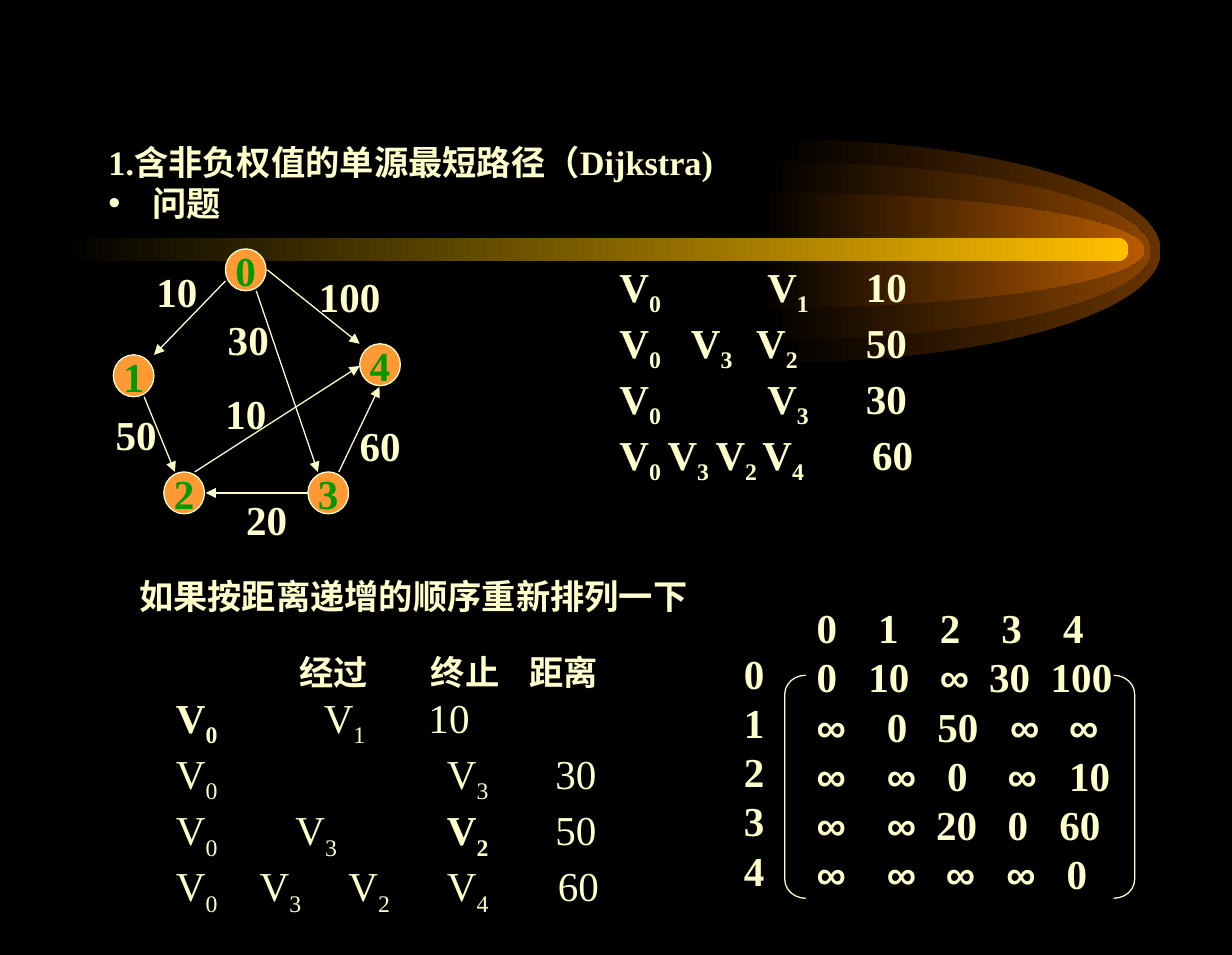
from itertools import groupby

from pptx import Presentation
from pptx import util as u
from pptx.dml.color import RGBColor
from pptx.enum import shapes, text
from pptx.oxml.ns import qn

BLACK = RGBColor(0x00, 0x00, 0x00)
CREAM = RGBColor(0xFF, 0xFF, 0xCC)
ORANGE = RGBColor(0xFF, 0x99, 0x33)
GREEN = RGBColor(0x00, 0x99, 0x00)
GOLD = RGBColor(0xFF, 0xBF, 0x00)

GLOWS = [
    (6.29, 1.13, 1.81, RGBColor(0x66, 0x33, 0x00)),
    (6.21, 1.31, 1.45, RGBColor(0x89, 0x44, 0x00)),
    (6.16, 1.56, 0.94, RGBColor(0xB7, 0x5B, 0x00)),
]
NODES = {"0": (1.83, 2.02), "4": (2.92, 2.79), "1": (0.92, 2.88),
         "2": (1.33, 3.83), "3": (2.5, 3.83)}
EDGES = [
    ((1.83, 2.28), (1.25, 2.88)),
    ((2.17, 2.19), (2.92, 2.79)),
    ((1.17, 3.22), (1.42, 3.83)),
    ((2.5, 4), (1.67, 4)),
    ((2.75, 3.83), (3.08, 3.14)),
    ((1.58, 3.83), (2.92, 2.97)),
    ((2.08, 2.36), (2.58, 3.83)),
]
COSTS = [("10", 1.17, 2.11), ("100", 2.49, 2.15), ("30", 1.75, 2.5),
         ("50", 0.84, 3.27), ("20", 1.9, 3.96), ("10", 1.73, 3.1),
         ("60", 2.82, 3.36)]

# each row: cells, tab stops, own size; "_" lowers the next sign, "*" makes a cell bold
PATHS = [
    (["V_0", "V_1", "10"], [1.2, 2]),
    (["V_0", "V_3", "V_2", "50"], [0.58, 1.11, 2]),
    (["V_0", "V_3", "30"], [1.2, 2]),
    (["V_0", "V_3", "V_2", "V_4", "60"], [0.39, 0.78, 1.16, 2.05]),
]
SORTED = [
    (["", "*经过", "*终止", "*距离"], [1, 2.07, 2.87], 20),
    (["*V_0", "V_1", "10"], [1.2, 2.05]),
    (["V_0", "V_3", "30"], [2.2, 3.08]),
    (["V_0", "V_3", "*V_2", "50"], [0.97, 2.2, 3.08]),
    (["V_0", "V_3", "V_2", "V_4", "60"], [0.68, 1.4, 2.2, 3.1]),
]
MATRIX = [
    (["0", "1", "2", "3", "4"], [0.5, 1, 1.5, 2]),
    (["0", "10", "∞", "30", "100"], [0.42, 1, 1.4, 1.9]),
    (["∞", "0", "50", "∞", "∞"], [0.57, 0.98, 1.57, 2.05]),
    (["∞", "∞", "0", "∞", "10"], [0.57, 1.06, 1.55, 2.05]),
    (["∞", "∞", "20", "0", "60"], [0.57, 0.97, 1.55, 1.97]),
    (["∞", "∞", "∞", "∞", "0"], [0.57, 1.05, 1.54, 2.03]),
]


def inches(*nums):
    return [u.Inches(n) for n in nums]


def signs(cells):
    kind = (False, False, False)
    for pos, cell in enumerate(cells):
        if pos:
            yield "\t", kind
        heavy, low = cell.startswith("*"), False
        for sign in cell.lstrip("*"):
            if sign == "_":
                low = True
                continue
            kind = (heavy, low, sign == "∞")
            yield sign, kind
            low = False


def write(frame, rows, size=24, color=CREAM, bold=True,
          align=text.PP_ALIGN.LEFT, anchor=text.MSO_ANCHOR.TOP):
    frame.word_wrap = False
    frame.auto_size = text.MSO_AUTO_SIZE.NONE
    frame.vertical_anchor = anchor
    for num, (cells, stops, *own) in enumerate(rows):
        para = frame.add_paragraph() if num else frame.paragraphs[0]
        para.alignment = align
        para.space_before = u.Pt(0)
        para.line_spacing = u.Pt(32.8 if "_" in cells[0] else size * 1.2)
        if stops:
            props = para._p.get_or_add_pPr()
            tabs = props.makeelement(qn("a:tabLst"), {})
            props.append(tabs)
            for stop in stops:
                tabs.append(tabs.makeelement(
                    qn("a:tab"), {"pos": str(u.Inches(stop)), "algn": "l"}))
        for (heavy, low, sym), group in groupby(signs(cells), lambda s: s[1]):
            run = para.add_run()
            run.text = "".join(sign for sign, kind in group)
            run.font.name = "Arial" if sym else "Times New Roman"
            run.font.size = u.Pt(own[0] if own else size)
            run.font.bold = bold or heavy
            run.font.color.rgb = color
            if low:
                run.font._element.set("baseline", "-25000")


def label(slide, rows, left, top, width, height, **form):
    box = slide.shapes.add_textbox(*inches(left, top, width, height))
    write(box.text_frame, rows, **form)


def fade(shape, color):
    shape.shadow.inherit = False
    shape.line.fill.background()
    shape.fill.gradient()
    shape.fill.gradient_angle = 0
    for stop, tone in zip(shape.fill.gradient_stops, (BLACK, color)):
        stop.color.rgb = tone


def outline(shape):
    shape.line.color.rgb = CREAM
    shape.line.width = u.Pt(0.75)


def glow(slide, left, top, height, color):
    wide, half = 3.13, height / 2
    bend, mid, right = 0.5523, top + half, left + wide
    dots = [(left + wide * bend, top), (right, mid - half * bend), (right, mid),
            (right, mid + half * bend), (left + wide * bend, top + height),
            (left, top + height), (left, mid)]
    build = slide.shapes.build_freeform(*inches(left, top))
    build.add_line_segments([inches(*dot) for dot in dots], close=True)
    shape = build.convert_to_shape()
    lines = list(shape._element.iter(qn("a:lnTo")))
    for first in (0, 3):
        curve = lines[first].makeelement(qn("a:cubicBezTo"), {})
        lines[first].addprevious(curve)
        for line in lines[first:first + 3]:
            curve.append(line[0])
            line.getparent().remove(line)
    fade(shape, color)


def place(shape, left, top, width, height):
    shape.left, shape.top, shape.width, shape.height = inches(left, top, width, height)


def titles(slide):
    title, body = slide.shapes.title, slide.placeholders[1]
    place(title, 0.78, 1.1, 5.6, 0.43)
    write(title.text_frame, [(["1.含非负权值的单源最短路径（Dijkstra)"], [])], size=20)
    place(body, 0.78, 1.43, 5.6, 0.43)
    write(body.text_frame, [(["问题"], [])], size=20)
    props = body.text_frame.paragraphs[0]._p.pPr
    props.set("marL", str(u.Inches(0.36)))
    props.set("indent", str(u.Inches(-0.36)))
    props.append(props.makeelement(qn("a:buChar"), {"char": "•"}))


def graph(slide):
    for name, (left, top) in NODES.items():
        node = slide.shapes.add_shape(
            shapes.MSO_SHAPE.OVAL, *inches(left, top, 0.33, 0.34))
        node.shadow.inherit = False
        node.fill.solid()
        node.fill.fore_color.rgb = ORANGE
        outline(node)
        write(node.text_frame, [([name], [])], color=GREEN,
              align=text.PP_ALIGN.CENTER, anchor=text.MSO_ANCHOR.MIDDLE)
    for start, end in EDGES:
        edge = slide.shapes.add_connector(
            shapes.MSO_CONNECTOR.STRAIGHT, *inches(*start, *end))
        outline(edge)
        ln = edge.line._get_or_add_ln()
        ln.append(ln.makeelement(qn("a:tailEnd"), {"type": "triangle"}))
        props = edge._element.spPr
        props.append(props.makeelement(qn("a:effectLst"), {}))
    for cost, left, top in COSTS:
        label(slide, [([cost], [])], left, top, 0.2 + len(cost) / 6, 0.5)


def matrix(slide):
    label(slide, MATRIX, 6.53, 4.84, 2.62, 2.5)
    label(slide, [([str(n)], []) for n in range(5)], 5.94, 5.21, 0.36, 2.1)
    for kind, left in ((shapes.MSO_SHAPE.LEFT_BRACKET, 6.37),
                       (shapes.MSO_SHAPE.RIGHT_BRACKET, 9.04)):
        side = slide.shapes.add_shape(kind, *inches(left, 5.48, 0.17, 1.81))
        side.adjustments[0] = 0.9
        side.shadow.inherit = False
        side.fill.background()
        outline(side)


def main():
    deck = Presentation()
    deck.slide_width, deck.slide_height = inches(10, 7.75)
    slide = deck.slides.add_slide(deck.slide_layouts[1])
    slide.background.fill.solid()
    slide.background.fill.fore_color.rgb = BLACK
    for spot in GLOWS:
        glow(slide, *spot)
    bar = slide.shapes.add_shape(
        shapes.MSO_SHAPE.ROUNDED_RECTANGLE, *inches(0.5, 1.93, 8.66, 0.19))
    bar.adjustments[0] = 0.5
    fade(bar, GOLD)
    titles(slide)
    graph(slide)
    label(slide, PATHS, 4.93, 2.07, 2.58, 1.92)
    label(slide, [(["如果按距离递增的顺序重新排列一下"], [])],
          1.03, 4.62, 4.65, 0.44, size=20)
    label(slide, SORTED, 1.33, 5.17, 3.63, 2.32, bold=False)
    matrix(slide)
    deck.save("out.pptx")


if __name__ == "__main__":
    main()
